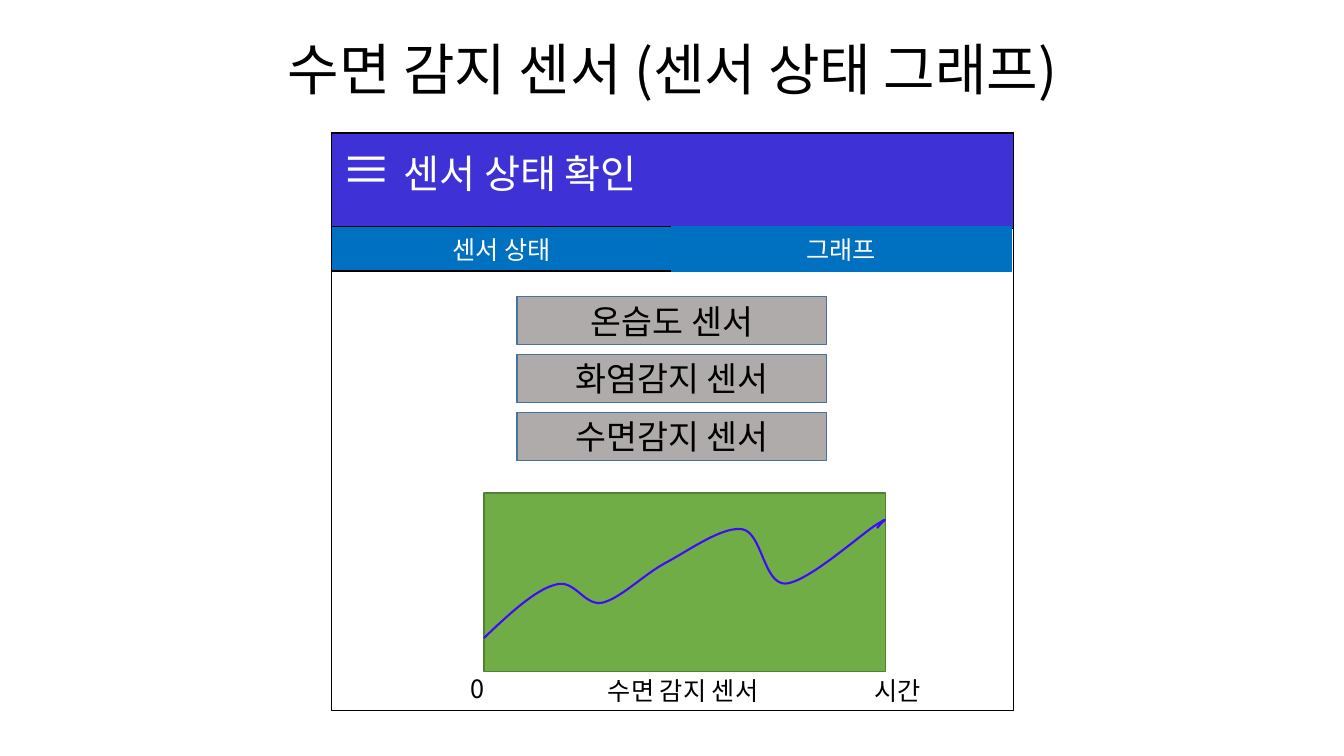
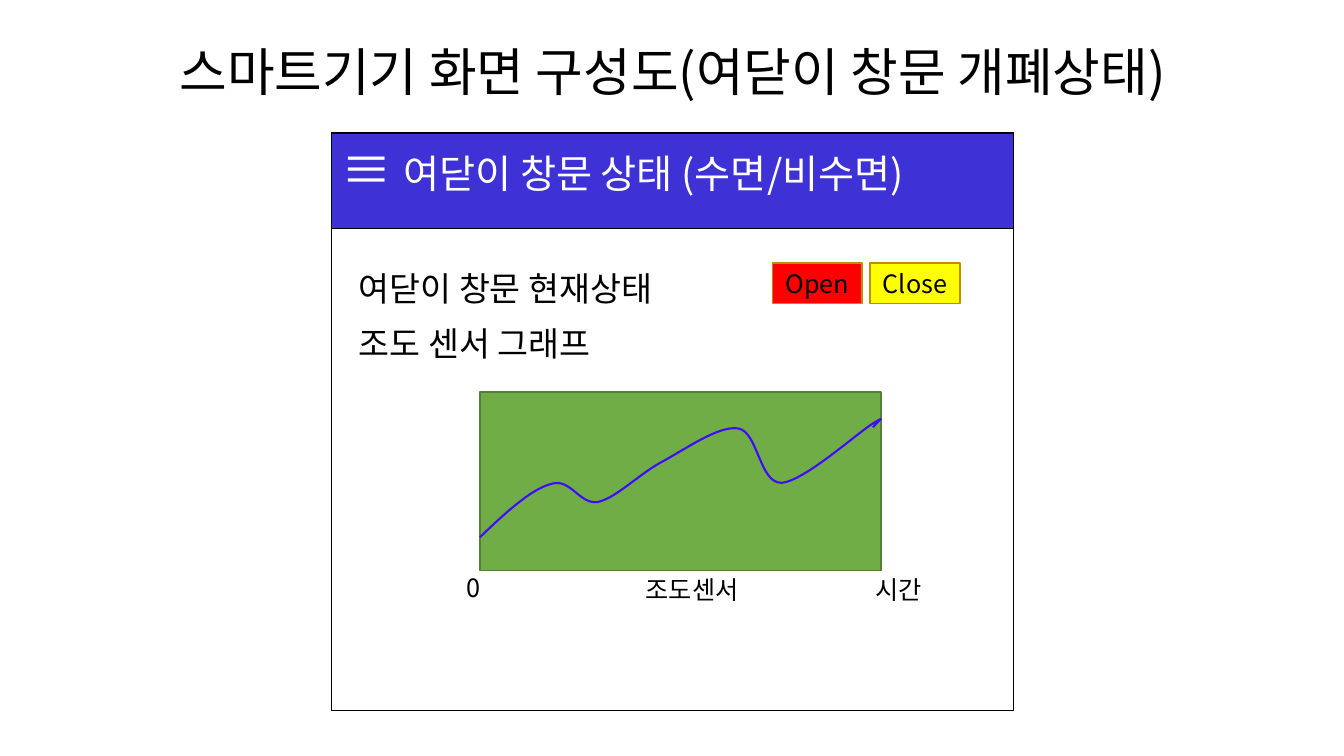
from pptx import Presentation
from pptx.util import Inches, Pt
from pptx.dml.color import RGBColor
from pptx.enum.shapes import MSO_SHAPE as Shape
from pptx.enum.text import PP_ALIGN as Align, MSO_ANCHOR as Anchor
from pptx.oxml.ns import qn
from lxml.etree import SubElement

FONT = "Noto Sans CJK KR"
BLACK, WHITE = "000000", "FFFFFF"
PURPLE, BLUE, GRAY = "3E32D6", "0070C0", "AFABAB"
GREEN, MOSS, INK = "70AD47", "538035", "3F0BFD"
RED, YELLOW, GOLD, STEEL = "FF0000", "FFFF00", "BD8E00", "43739E"
START = (0, 1.44)
CURVES = [
    ((0.25, 1.2), (0.51, 0.96), (0.71, 0.91)),
    ((0.9, 0.85), (0.99, 1.12), (1.17, 1.09)),
    ((1.35, 1.05), (1.56, 0.83), (1.79, 0.7)),
    ((2.02, 0.58), (2.36, 0.33), (2.56, 0.36)),
    ((2.76, 0.39), (2.77, 0.9), (2.99, 0.9)),
    ((3.21, 0.89), (3.75, 0.4), (3.9, 0.31)),
    ((4.05, 0.22), (3.94, 0.29), (3.9, 0.35)),
]
STEPS = 16


def color(code):
    return RGBColor.from_string(code)


def write(item, *runs, size=18, tint=BLACK, align=Align.LEFT,
          anchor=Anchor.TOP, space=None):
    frame = item.text_frame
    frame.word_wrap = True
    frame.vertical_anchor = anchor
    para = frame.paragraphs[0]
    para.alignment = align
    if space:
        para.line_spacing = space
    for text, points in runs:
        run = para.add_run()
        run.text = text
        run.font.size = Pt(points or size)
        run.font.name = FONT
        run.font.color.rgb = color(tint)
        SubElement(run.font._element, qn("a:ea"), typeface=FONT)


def label(slide, text, x, y, w, h, **style):
    box = slide.shapes.add_textbox(Inches(x), Inches(y), Inches(w), Inches(h))
    write(box, (text, None), **style)


def block(slide, x, y, w, h, fill, line):
    rect = slide.shapes.add_shape(
        Shape.RECTANGLE, Inches(x), Inches(y), Inches(w), Inches(h))
    rect.shadow.inherit = False
    rect.fill.solid()
    rect.fill.fore_color.rgb = color(fill)
    rect.line.color.rgb = color(line)
    rect.line.width = Pt(1)
    return rect


def button(slide, text, x, y, w, h, fill, line, **style):
    rect = block(slide, x, y, w, h, fill, line)
    write(rect, (text, None), align=Align.CENTER, anchor=Anchor.MIDDLE, **style)


def screen(deck, title, size, head):
    slide = deck.slides.add_slide(deck.slide_layouts[6])
    label(slide, title, 0.92, 0.28, 11.5, 0.79, size=size,
          align=Align.CENTER, anchor=Anchor.BOTTOM, space=0.9)
    block(slide, 3.29, 1.32, 6.76, 5.73, WHITE, BLACK)
    bar = block(slide, 3.29, 1.32, 6.76, 0.95, PURPLE, BLACK)
    write(bar, ("≡ ", 36), (head, 28), tint=WHITE)
    return slide


def trace():
    first = START
    for knots in CURVES:
        for step in range(1, STEPS + 1):
            t = step / STEPS
            parts = ((1 - t) ** 3, 3 * t * (1 - t) ** 2,
                     3 * t * t * (1 - t), t ** 3)
            yield tuple(
                sum(part * knot[axis]
                    for part, knot in zip(parts, (first, *knots)))
                for axis in (0, 1))
        first = knots[-1]


def graph(slide, x, y, name, align, end):
    block(slide, x, y, 3.98, 1.77, GREEN, MOSS)
    label(slide, "시간", x + end, y + 1.76, 1.01, 0.4)
    label(slide, "0", x - 0.23, y + 1.74, 0.41, 0.4)
    label(slide, name, x + 1.13, y + 1.76, 1.95, 0.4, align=align)
    pen = slide.shapes.build_freeform(
        Inches(x + START[0]), Inches(y + START[1]))
    pen.add_line_segments(
        [(Inches(x + dx), Inches(y + dy)) for dx, dy in trace()], close=False)
    wave = pen.convert_to_shape()
    wave.shadow.inherit = False
    wave.fill.background()
    wave.line.color.rgb = color(INK)
    wave.line.width = Pt(1.5)


def sensor(deck):
    slide = screen(deck, "수면 감지 센서 (센서 상태 그래프)", 40, "센서 상태 확인")
    for col, (text, line) in enumerate((("센서 상태", BLACK), ("그래프", BLUE))):
        button(slide, text, 3.29 + 3.37 * col, 2.25, 3.37, 0.44,
               BLUE, line, tint=WHITE)
    for row, text in enumerate(("온습도 센서", "화염감지 센서", "수면감지 센서")):
        button(slide, text, 5.13, 2.94 + 0.575 * row, 3.07, 0.48,
               GRAY, STEEL, size=24)
    graph(slide, 4.8, 4.89, "수면 감지 센서", Align.LEFT, 3.77)


def window(deck):
    slide = screen(deck, "스마트기기 화면 구성도(여닫이 창문 개폐상태)", 37,
                   "여닫이 창문 상태 (수면/비수면)")
    for row, text in enumerate(("여닫이 창문 현재상태", "조도 센서 그래프")):
        label(slide, text, 3.46, 2.61 + 0.54 * row, 4.2, 0.5, size=24)
    for col, (text, fill) in enumerate((("Open", RED), ("Close", YELLOW))):
        button(slide, text, 7.66 + 0.97 * col, 2.61, 0.89, 0.4, fill, GOLD)
    graph(slide, 4.76, 3.89, "조도센서", Align.CENTER, 3.82)


def main():
    deck = Presentation()
    deck.slide_width, deck.slide_height = Inches(13.33), Inches(7.5)
    sensor(deck)
    window(deck)
    deck.save("out.pptx")


if __name__ == "__main__":
    main()
